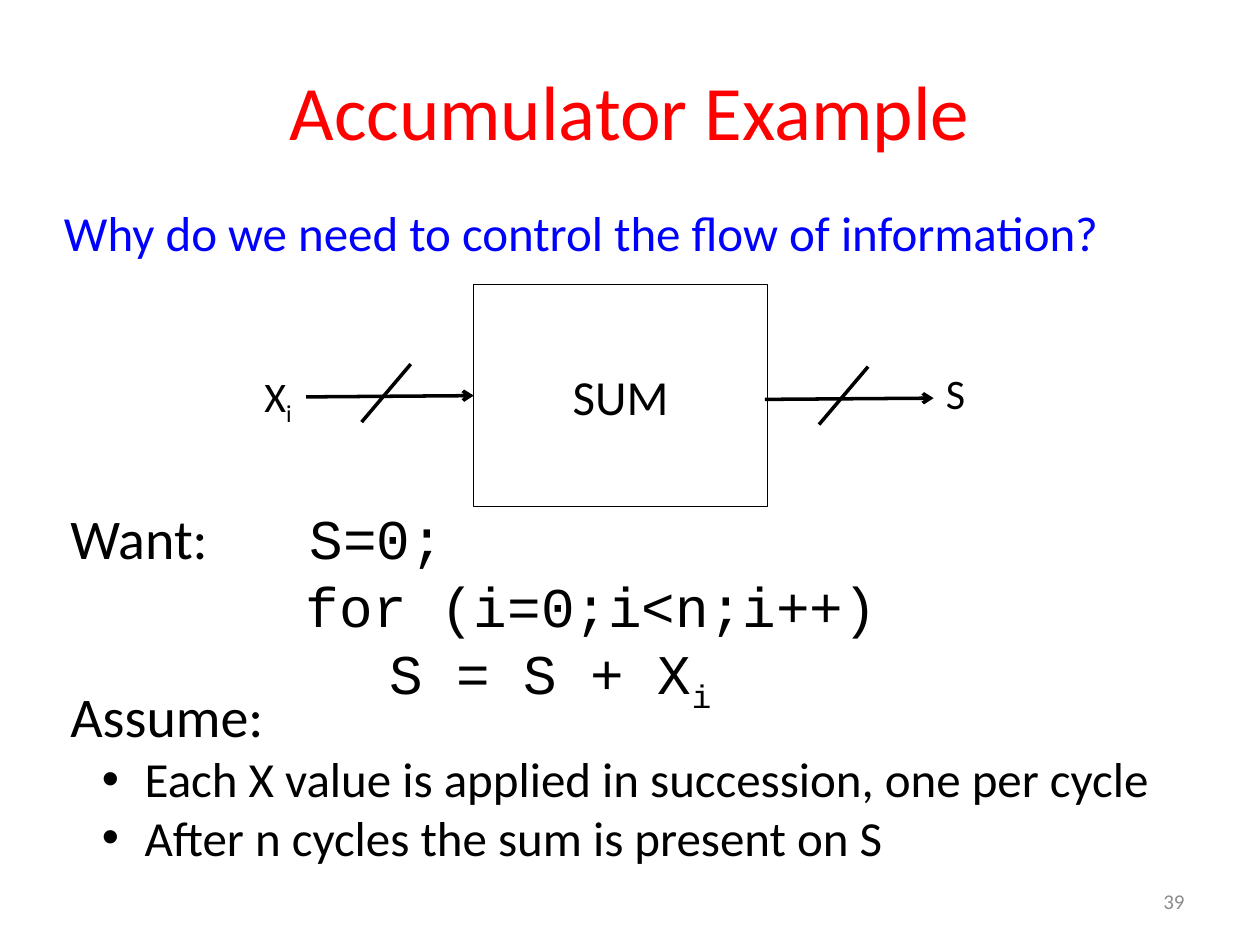
from dataclasses import dataclass
from typing import NamedTuple

from lxml.etree import SubElement
from pptx import Presentation
from pptx.dml.color import RGBColor
from pptx.enum.shapes import MSO_CONNECTOR, MSO_SHAPE
from pptx.enum.text import MSO_ANCHOR, PP_ALIGN
from pptx.oxml.ns import qn
from pptx.util import Inches, Pt


@dataclass(frozen=True)
class Theme:
    """Colours, fonts and type sizes of the slide."""
    black: str = "000000"
    white: str = "FFFFFF"
    red: str = "FF0000"
    blue: str = "0000FF"
    grey: str = "8C8C8C"
    body: str = "Calibri"
    code: str = "Courier New"
    title: int = 44
    large: int = 32
    medium: int = 28
    label: int = 24
    small: int = 12


THEME = Theme()


class Run(NamedTuple):
    """A stretch of text in one format."""
    text: str
    size: int = THEME.large
    font: str = THEME.body
    color: str = THEME.black
    baseline: int = 0


class Para(NamedTuple):
    """A paragraph; indent and tab stop in inches."""
    runs: list[Run]
    indent: float = 0
    tab: float = 0
    bullet: bool = False
    align: PP_ALIGN = PP_ALIGN.LEFT


class Block(NamedTuple):
    """A text box with its place in inches."""
    left: float
    top: float
    width: float
    height: float
    paras: list[Para]
    anchor: MSO_ANCHOR = MSO_ANCHOR.TOP


class Wire(NamedTuple):
    """A straight line between two points in inches."""
    start: tuple[float, float]
    end: tuple[float, float]
    arrow: bool = False


def write_paragraph(paragraph, para: Para) -> None:
    """Fill a paragraph with formatted runs."""
    paragraph.alignment = para.align
    props = paragraph._p.get_or_add_pPr()
    if para.indent:
        props.set("marL", str(Inches(para.indent)))
    if para.bullet:
        props.set("indent", str(-Inches(0.34)))
        SubElement(props, qn("a:buFont"), typeface="Arial")
        SubElement(props, qn("a:buChar"), char="•")
    if para.tab:
        stops = SubElement(props, qn("a:tabLst"))
        SubElement(stops, qn("a:tab"), pos=str(Inches(para.tab)), algn="l")
    for part in para.runs:
        run = paragraph.add_run()
        run.text = part.text
        for key, value in {"size": Pt(part.size), "name": part.font}.items():
            setattr(run.font, key, value)
        run.font.color.rgb = RGBColor.from_string(part.color)
        if part.baseline:
            run.font._element.set("baseline", str(part.baseline * 1000))


def write_frame(frame, paras: list[Para], anchor: MSO_ANCHOR) -> None:
    """Write all paragraphs into a text frame."""
    for key, value in {"word_wrap": True, "vertical_anchor": anchor}.items():
        setattr(frame, key, value)
    for index, para in enumerate(paras):
        paragraph = frame.add_paragraph() if index else frame.paragraphs[0]
        write_paragraph(paragraph, para)


def add_block(slide, block: Block) -> None:
    """Add one text box."""
    box = slide.shapes.add_textbox(*map(Inches, block[:4]))
    write_frame(box.text_frame, block.paras, block.anchor)


def add_wire(slide, wire: Wire) -> None:
    """Add one connector, with an arrowhead if asked for."""
    line = slide.shapes.add_connector(
        MSO_CONNECTOR.STRAIGHT, *map(Inches, wire.start + wire.end))
    line.line.width = Pt(2)
    line.line.color.rgb = RGBColor.from_string(THEME.black)
    if wire.arrow:
        SubElement(line.line._get_or_add_ln(), qn("a:tailEnd"), type="arrow")
    SubElement(line._element.spPr, qn("a:effectLst"))


def add_title(slide, text: str) -> None:
    """Place and format the title."""
    title = slide.shapes.title
    place = {"left": 0.5, "top": 0.3, "width": 9, "height": 1.25}
    for key, value in place.items():
        setattr(title, key, Inches(value))
    heading = Para([Run(text, THEME.title, color=THEME.red)],
                   align=PP_ALIGN.CENTER)
    write_frame(title.text_frame, [heading], MSO_ANCHOR.MIDDLE)
    title.text_frame.paragraphs[0].line_spacing = 0.87


def add_adder(slide, text: str) -> None:
    """Draw the summing unit."""
    adder = slide.shapes.add_shape(
        MSO_SHAPE.RECTANGLE, *map(Inches, (3.76, 2.26, 2.33, 1.76)))
    adder.shadow.inherit = False
    adder.fill.solid()
    adder.fill.fore_color.rgb = RGBColor.from_string(THEME.white)
    adder.line.color.rgb = RGBColor.from_string(THEME.black)
    adder.line.width = Pt(0.75)
    name = Para([Run(text, THEME.medium)], align=PP_ALIGN.CENTER)
    write_frame(adder.text_frame, [name], MSO_ANCHOR.MIDDLE)


def code(text: str, baseline: int = 0) -> Run:
    """Return a run of program code."""
    return Run(text, font=THEME.code, baseline=baseline)


def assumption(text: str) -> Para:
    """Return a bulleted assumption."""
    return Para([Run(text, THEME.medium)], indent=0.59, bullet=True)


QUESTION = "Why do we need to control the flow of information?"
BLOCKS = [
    Block(0.46, 3.95, 6.9, 1.72, [
        Para([Run("Want:\t"), code("S=0;")], tab=1.9),
        Para([code("for (i=0;i<n;i++)")], indent=1.87),
        Para([code("S = S + X"), code("i", -25)], indent=2.53),
    ]),
    Block(0.41, 1.56, 8.8, 0.57, [
        Para([Run(QUESTION, THEME.medium, color=THEME.blue)])]),
    Block(0.46, 5.36, 9.15, 1.59, [
        Para([Run("Assume:")]),
        assumption("Each X value is applied in succession, one per cycle"),
        assumption("After n cycles the sum is present on S"),
    ]),
    Block(7.17, 6.95, 2.33, 0.4, [
        Para([Run("39", THEME.small, color=THEME.grey)],
             align=PP_ALIGN.RIGHT)], MSO_ANCHOR.MIDDLE),
    Block(2, 2.89, 0.5, 0.51, [
        Para([Run("X", THEME.label), Run("i", THEME.label, baseline=-25)])]),
    Block(7.41, 2.87, 0.4, 0.51, [Para([Run("S", THEME.label)])]),
]
WIRES = [
    Wire((2.43, 3.15), (3.76, 3.14), arrow=True),
    Wire((6.07, 3.17), (7.41, 3.16), arrow=True),
    Wire((2.87, 3.35), (3.26, 2.89)),
    Wire((6.5, 3.37), (6.89, 2.91)),
]


def main() -> None:
    """Build and save the slide."""
    deck = Presentation()
    deck.slide_width, deck.slide_height = Inches(10), Inches(7.5)
    slide = deck.slides.add_slide(deck.slide_layouts[5])
    add_title(slide, "Accumulator Example")
    add_adder(slide, "SUM")
    for wire in WIRES:
        add_wire(slide, wire)
    for block in BLOCKS:
        add_block(slide, block)
    deck.save("out.pptx")


main()
